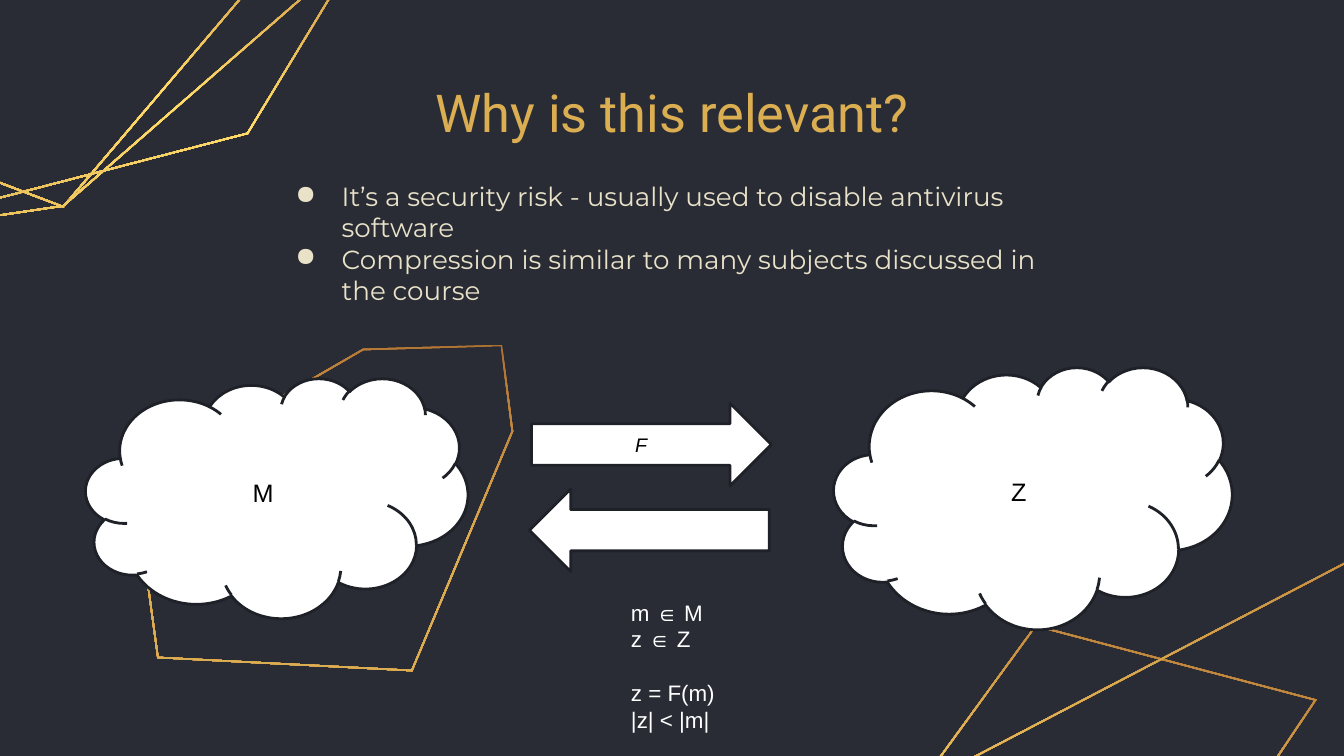
from math import hypot

from lxml.etree import SubElement
from pptx import Presentation
from pptx.dml.color import RGBColor
from pptx.enum.shapes import MSO_SHAPE
from pptx.enum.text import MSO_ANCHOR, MSO_AUTO_SIZE, PP_ALIGN
from pptx.oxml.ns import qn
from pptx.util import Inches, Pt

GOLD, CREAM, WHITE, BLACK = "DCAE52", "E9E2C9", "FFFFFF", "000000"
BACKGROUND, EDGE = "292C35", "1E2127"
BRONZE, YELLOW = "AF7132", "FFDD6B"
STROKE = 0.015

# Corners in inches, clockwise, then the tilt of the gradient and its middle colour
POLYGONS = [
    ([(1.56, 6.53), (1.32, 4.78), (3.6, 3.46), (4.98, 3.42), (5.09, 4.28), (4.09, 6.66)], 13.5, GOLD),
    ([(8.58, 11.35), (7.43, 10.1), (10.27, 6.2), (13.06, 6.94), (10.73, 10.42)], 16.2, YELLOW),
    ([(11.71, 11.32), (8.9, 7.9), (13.76, 5.36), (14.17, 7.64)], -10.2, YELLOW),
    ([(-2.27, 0.96), (-1.89, -1.18), (1.25, -1.86), (2.87, -1.38), (2.68, -0.35), (0.63, 2.06)], 31.4, YELLOW),
    ([(-1.54, 2.37), (-2.27, 0.95), (1.25, -1.86), (3.58, -0.52), (0.63, 2.05)], 31.4, YELLOW),
    ([(-1.54, 2.37), (-1.39, -1.76), (3.58, -0.52), (2.46, 1.33)], 31.4, YELLOW),
]


def color(value):
    return RGBColor.from_string(value)


def set_font(paragraph, name, size, value, italic=None):
    font = paragraph.font
    font.name, font.size, font.italic = name, Pt(size), italic
    font.color.rgb = color(value)


def inset(corners, distance):
    """Move every side of a clockwise polygon inwards by the distance."""
    moved = []
    for index, (x, y) in enumerate(corners):
        before, after = corners[index - 1], corners[(index + 1) % len(corners)]
        first, second = (x - before[0], y - before[1]), (after[0] - x, after[1] - y)
        ax, ay = (part / hypot(*first) for part in first)
        bx, by = (part / hypot(*second) for part in second)
        reach = distance / (1 + ax * bx + ay * by)
        moved.append((x - (ay + by) * reach, y + (ax + bx) * reach))
    return moved


def add_polygon_ring(page, corners, tilt, middle):
    """Draw a thin polygon outline as a ring, so that it can hold a gradient."""
    outer = [(Inches(x), Inches(y)) for x, y in corners]
    inner = [(Inches(x), Inches(y)) for x, y in reversed(inset(corners, STROKE))]
    builder = page.shapes.build_freeform(*outer[0])
    builder.add_line_segments(outer[1:], close=True)
    builder.move_to(*inner[0])
    builder.add_line_segments(inner[1:], close=True)
    ring = builder.convert_to_shape()
    ring.shadow.inherit = False
    ring.line.fill.background()
    ring.fill.gradient()
    ring.fill.gradient_angle = 270 - tilt
    stops = next(ring._element.iter(qn("a:gsLst")))
    for stop in list(stops):
        stops.remove(stop)
    for position, value in ((0, BRONZE), (50000, middle), (100000, GOLD)):
        stop = SubElement(stops, qn("a:gs"), pos=str(position))
        SubElement(stop, qn("a:srgbClr"), val=value)


def prepare_frame(frame, anchor):
    frame.word_wrap = True
    frame.auto_size = MSO_AUTO_SIZE.NONE
    frame.vertical_anchor = anchor
    frame.margin_left = frame.margin_right = Inches(0.1)
    frame.margin_top = frame.margin_bottom = Inches(0.1)


def fill_title(page, left, top, width, height, text):
    title = page.shapes.title
    title.left, title.top = Inches(left), Inches(top)
    title.width, title.height = Inches(width), Inches(height)
    prepare_frame(title.text_frame, MSO_ANCHOR.MIDDLE)
    title.text_frame.text = text
    paragraph = title.text_frame.paragraphs[0]
    paragraph.alignment = PP_ALIGN.CENTER
    set_font(paragraph, "Roboto", 37.3, GOLD)


def add_text(page, left, top, width, height, lines, anchor):
    box = page.shapes.add_textbox(Inches(left), Inches(top), Inches(width), Inches(height))
    prepare_frame(box.text_frame, anchor)
    box.text_frame.text = "\n".join(lines)
    return box.text_frame


def add_bullets(page, left, top, width, height, lines):
    frame = add_text(page, left, top, width, height, lines, MSO_ANCHOR.MIDDLE)
    for paragraph in frame.paragraphs:
        properties = paragraph._p.get_or_add_pPr()
        properties.set("marL", str(Inches(0.67)))
        properties.set("indent", str(Inches(-0.46)))
        SubElement(SubElement(properties, qn("a:buClr")), qn("a:srgbClr"), val=CREAM)
        SubElement(properties, qn("a:buChar"), char="●")
        set_font(paragraph, "Montserrat", 18.7, CREAM)


def add_formulas(page, left, top, width, height, groups):
    lines = [line for group in groups for line in group]
    frame = add_text(page, left, top, width, height, lines, MSO_ANCHOR.TOP)
    frame.margin_top = frame.margin_bottom = Inches(0.05)
    group_starts = [group[0] for group in groups[1:]]
    for paragraph in frame.paragraphs:
        if paragraph.text in group_starts:
            paragraph.space_before = Pt(19)
        set_font(paragraph, "Arial", 16, WHITE)


def add_white_shape(page, preset, left, top, width, height, text="", size=18, italic=None):
    shape = page.shapes.add_shape(preset, Inches(left), Inches(top), Inches(width), Inches(height))
    shape.shadow.inherit = False
    shape.fill.solid()
    shape.fill.fore_color.rgb = color(WHITE)
    shape.line.color.rgb = color(EDGE)
    shape.line.width = Pt(2)
    if text:
        frame = shape.text_frame
        frame.vertical_anchor = MSO_ANCHOR.MIDDLE
        frame.text = text
        frame.paragraphs[0].alignment = PP_ALIGN.CENTER
        set_font(frame.paragraphs[0], "Arial", size, BLACK, italic)
    return shape


def add_mapping(page, left, top):
    """Two sets as clouds, with an arrow each way between them."""
    add_white_shape(page, MSO_SHAPE.CLOUD, left, top + 0.11, 3.79, 2.38, "M")
    add_white_shape(page, MSO_SHAPE.CLOUD, left + 7.42, top, 3.95, 2.6, "Z")
    add_white_shape(page, MSO_SHAPE.RIGHT_ARROW, left + 4.42, top + 0.36, 2.38, 0.82, "F", 14, True)
    back = add_white_shape(page, MSO_SHAPE.RIGHT_ARROW, left + 4.4, top + 1.21, 2.38, 0.82)
    back.rotation = 180


def main():
    deck = Presentation()
    deck.slide_width, deck.slide_height = Inches(13.33), Inches(7.5)
    page = deck.slides.add_slide(deck.slide_layouts[5])
    page.background.fill.solid()
    page.background.fill.fore_color.rgb = color(BACKGROUND)
    for corners, tilt, middle in POLYGONS:
        add_polygon_ring(page, corners, tilt, middle)
    fill_title(page, 2.91, 0.79, 7.51, 0.63, "Why is this relevant?")
    add_bullets(page, 2.62, 1.4, 7.81, 2.02, [
        "It’s a security risk - usually used to disable antivirus software",
        "Compression is similar to many subjects discussed in the course",
    ])
    add_mapping(page, 0.85, 3.64)
    add_formulas(page, 6.16, 5.89, 2.94, 1.45, [("m ∈ M", "z ∈ Z"), ("z = F(m)", "|z| < |m|")])
    deck.save("out.pptx")


if __name__ == "__main__":
    main()
